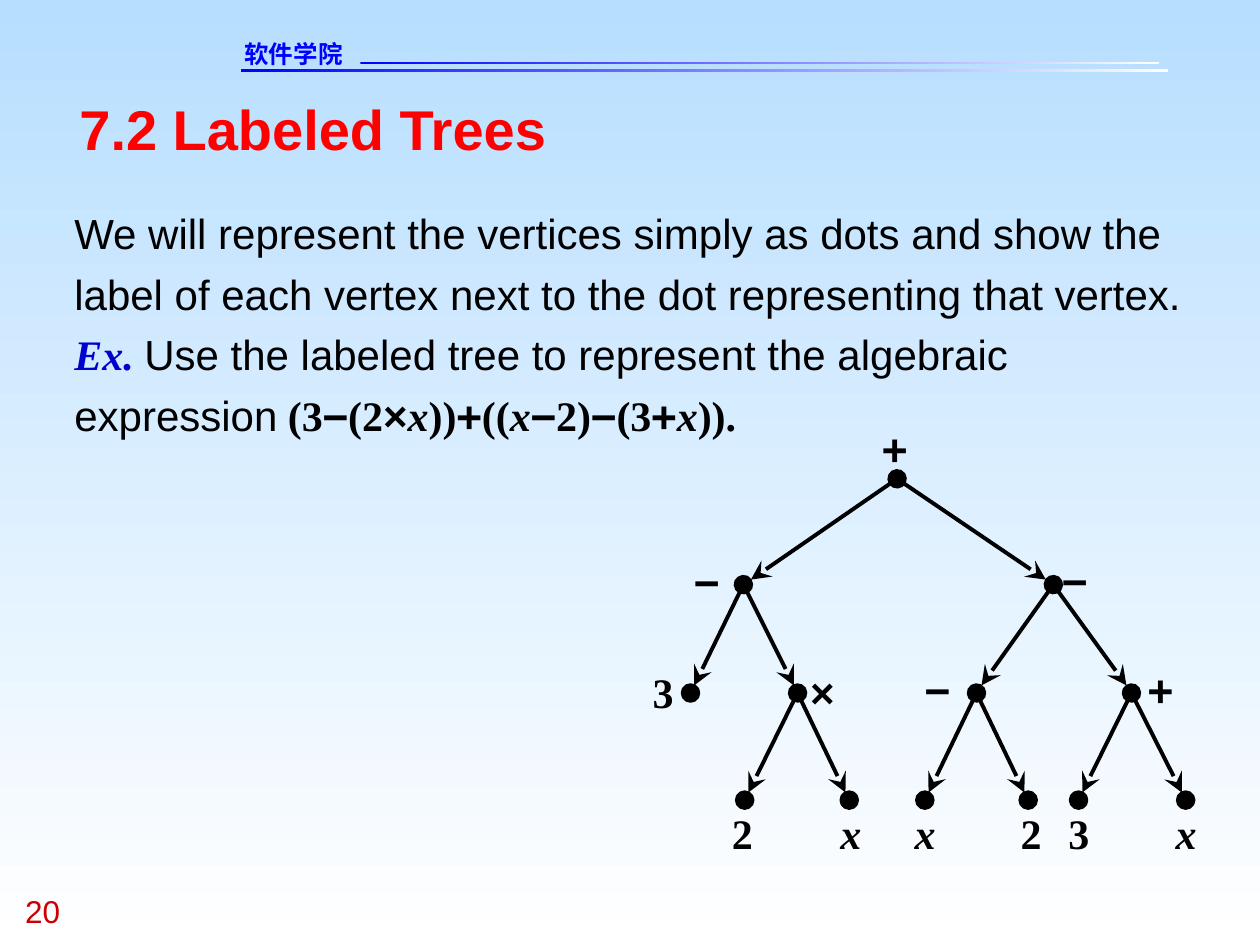
from math import hypot

from lxml.etree import SubElement
from pptx import Presentation
from pptx.dml.color import RGBColor
from pptx.enum.shapes import MSO_CONNECTOR as Connector, MSO_SHAPE as Shape
from pptx.enum.text import MSO_AUTO_SIZE as AutoSize
from pptx.oxml.ns import qn
from pptx.util import Pt

PX = 9144  # 100 px to the inch
BLACK = RGBColor(0x00, 0x00, 0x00)
WHITE = RGBColor(0xFF, 0xFF, 0xFF)
SKY = RGBColor(0xB7, 0xDE, 0xFF)
BLUE = RGBColor(0x00, 0x00, 0xFF)
NAVY = RGBColor(0x00, 0x00, 0xCC)
RED = RGBColor(0xFF, 0x00, 0x00)
DARK_RED = RGBColor(0xCC, 0x00, 0x00)

SANS, SERIF, MONO = "Arial", "Times New Roman", "DejaVu Sans Mono"

# Vertex name: centre x, centre y, label, label left, label top, label width
VERTICES = {
    "root": (712, 380, "+", 700, 335, 19),
    "left": (590, 464, "−", 551, 441, 28),
    "right": (836, 464, "−", 843, 440, 28),
    "left three": (548, 550, "3", 518, 529, 17),
    "times": (633, 550, "×", 643, 529, 27),
    "minus": (775, 550, "−", 734, 527, 28),
    "plus": (898, 550, "+", 911, 527, 19),
    "times two": (591, 635, "2", 581, 641, 17),
    "times x": (674, 635, "x", 667, 641, 17),
    "minus x": (734, 635, "x", 726, 641, 17),
    "minus two": (816, 635, "2", 810, 641, 17),
    "plus three": (856, 635, "3", 848, 641, 17),
    "plus x": (941, 635, "x", 933, 641, 17),
}
CHILDREN = {
    "root": ("left", "right"),
    "left": ("left three", "times"),
    "right": ("minus", "plus"),
    "times": ("times two", "times x"),
    "minus": ("minus x", "minus two"),
    "plus": ("plus three", "plus x"),
}
DOT = 12
ARROW_GAP = 7


def run(text, font=SANS, size=24, color=BLACK, bold=False, italic=False):
    """Describe a piece of text and its format."""
    return text, font, size, color, bold, italic


def symbol_run(symbol):
    font = {"+": MONO, "−": MONO, "×": SANS}.get(symbol, SERIF)
    return run(symbol, font=font, bold=True, italic=symbol == "x")


def expression_runs(expression):
    """Split an expression into runs at each operator and variable."""
    pieces = [""]
    for character in expression:
        if character in "+−×x":
            pieces += [character, ""]
        else:
            pieces[-1] += character
    return [symbol_run(piece) for piece in pieces if piece]


def set_gradient(fill, first, last, angle):
    fill.gradient()
    fill.gradient_angle = angle
    for stop, color in zip(fill.gradient_stops, (first, last)):
        stop.color.rgb = color


class SlideBuilder:
    def __init__(self, slide):
        self.slide = slide
        self.line_color = BLACK
        self.edge_width = Pt(2.25)
        self.dot_width = Pt(2.5)

    def text(self, left, top, width, height, *paragraphs, spacing=None, wrap=True):
        box = self.slide.shapes.add_textbox(left * PX, top * PX, width * PX, height * PX)
        frame = box.text_frame
        frame.margin_left = frame.margin_top = frame.margin_right = frame.margin_bottom = 0
        frame.word_wrap = wrap
        frame.auto_size = AutoSize.SHAPE_TO_FIT_TEXT
        for index, runs in enumerate(paragraphs):
            paragraph = frame.add_paragraph() if index else frame.paragraphs[0]
            if spacing:
                paragraph.line_spacing = spacing
            for text, font, size, color, bold, italic in runs:
                piece = paragraph.add_run()
                piece.text = text
                piece.font.name = font
                piece.font.size = Pt(size)
                piece.font.color.rgb = color
                piece.font.bold = bold
                piece.font.italic = italic

    def shape(self, kind, left, top, width, height):
        shape = self.slide.shapes.add_shape(kind, left * PX, top * PX, width * PX, height * PX)
        shape.shadow.inherit = False
        return shape

    def rule(self, left, top, width):
        """Draw a thin bar that fades from blue to white."""
        bar = self.shape(Shape.RECTANGLE, left, top, width, 2)
        set_gradient(bar.fill, BLUE, WHITE, 0)
        bar.line.fill.background()

    def dot(self, x, y):
        dot = self.shape(Shape.OVAL, x - DOT // 2, y - DOT // 2, DOT, DOT)
        dot.fill.solid()
        dot.fill.fore_color.rgb = self.line_color
        dot.line.color.rgb = self.line_color
        dot.line.width = self.dot_width

    def edge(self, start, end, has_dot):
        """Draw an arrow that stops just short of the end vertex."""
        (x1, y1), (x2, y2) = start, end
        part = 1 - ARROW_GAP / hypot(x2 - x1, y2 - y1)
        tip_x, tip_y = round(x1 + (x2 - x1) * part), round(y1 + (y2 - y1) * part)
        edge = self.slide.shapes.add_connector(
            Connector.STRAIGHT, x1 * PX, y1 * PX, tip_x * PX, tip_y * PX)
        edge.line.color.rgb = self.line_color
        edge.line.width = self.edge_width
        line = edge.line._get_or_add_ln()
        if has_dot:
            SubElement(line, qn("a:headEnd"), type="oval", w="lg", len="lg")
        SubElement(line, qn("a:tailEnd"), type="stealth", w="lg", len="lg")
        SubElement(edge._element.spPr, qn("a:effectLst"))

    def tree(self):
        for name, (x, y, label, left, top, width) in VERTICES.items():
            if name not in CHILDREN:
                self.dot(x, y)
            self.text(left, top, width, 40, [symbol_run(label)], wrap=False)
        for parent, children in CHILDREN.items():
            for index, child in enumerate(children):
                self.edge(VERTICES[parent][:2], VERTICES[child][:2], has_dot=index == 0)


def main():
    presentation = Presentation()
    presentation.slide_width, presentation.slide_height = 1000 * PX, 750 * PX
    slide = presentation.slides.add_slide(presentation.slide_layouts[6])
    set_gradient(slide.background.fill, SKY, WHITE, 270)

    builder = SlideBuilder(slide)
    builder.rule(191, 55, 736)
    builder.rule(286, 49, 634)
    builder.text(194, 31, 145, 23,
                 [run("软件学院", font="DejaVu Sans", size=14, color=BLUE, bold=True)])
    builder.text(20, 708, 75, 30, [run("20", size=18, color=DARK_RED)])
    builder.text(63, 75, 875, 53, [run("7.2 Labeled Trees", size=32, color=RED, bold=True)])
    builder.text(
        59, 157, 909, 192,
        [run("We will represent the vertices simply as dots and show the label "
             "of each vertex next to the dot representing that vertex.")],
        [run("Ex. ", font=SERIF, color=NAVY, bold=True, italic=True),
         run("Use the labeled tree to represent the algebraic expression"),
         *expression_runs(" (3−(2×x))+((x−2)−(3+x)).")],
        spacing=1.2)
    builder.tree()
    presentation.save("out.pptx")


if __name__ == "__main__":
    main()
